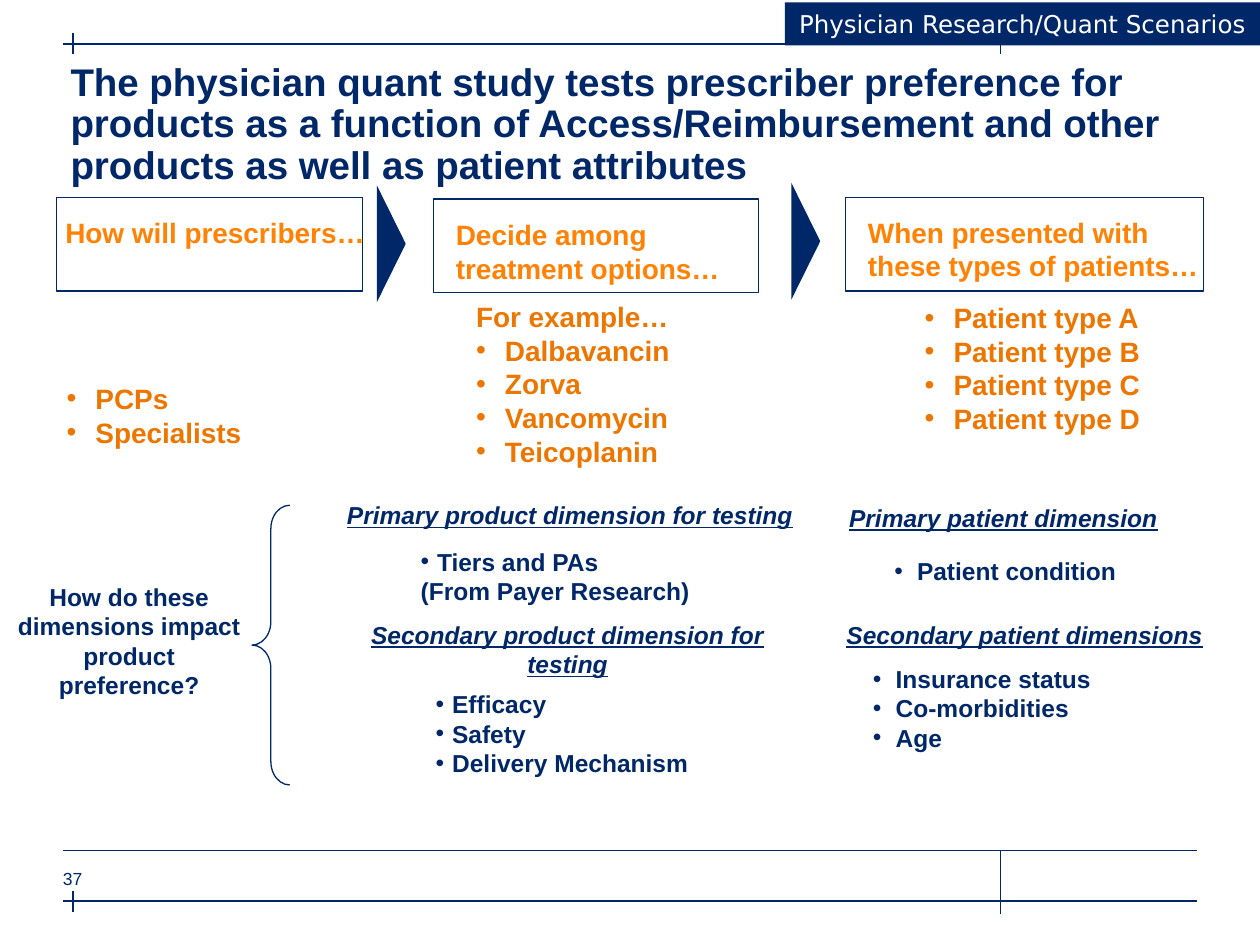
from dataclasses import dataclass

from lxml import etree
from pptx import Presentation
from pptx.dml.color import RGBColor
from pptx.enum.shapes import MSO_CONNECTOR, MSO_SHAPE
from pptx.enum.text import MSO_ANCHOR, PP_ALIGN
from pptx.oxml.ns import qn
from pptx.util import Inches, Pt

STRAIGHT = MSO_CONNECTOR.STRAIGHT
RECTANGLE = MSO_SHAPE.RECTANGLE
TRIANGLE = MSO_SHAPE.ISOSCELES_TRIANGLE
LEFT_BRACE = MSO_SHAPE.LEFT_BRACE
TOP, MIDDLE = MSO_ANCHOR.TOP, MSO_ANCHOR.MIDDLE
LEFT, CENTER = PP_ALIGN.LEFT, PP_ALIGN.CENTER

COLUMNS, ROWS = 100, 75


@dataclass(frozen=True)
class Theme:
    navy: str = "002868"
    heading: str = "FF8205"
    example: str = "EC7600"
    white: str = "FFFFFF"
    font: str = "Arial"
    tag_font: str = "DejaVu Sans"
    title_size: int = 22
    large: int = 16
    body: int = 14
    small: int = 10
    rule: float = 1
    thin: float = 0.75


THEME = Theme()


@dataclass(frozen=True)
class Area:
    left: float
    top: float
    width: float
    height: float


@dataclass(frozen=True)
class Style:
    size: int = THEME.body
    color: str = THEME.navy
    font: str = THEME.font
    bold: bool = True
    emphasis: bool = False
    align: PP_ALIGN = LEFT
    anchor: MSO_ANCHOR = TOP
    inset: tuple[float, float] = (0.1, 0.05)
    hang: float = 0
    spacing: float = 1
    wrap: bool = True


@dataclass(frozen=True)
class Block:
    area: Area
    lines: tuple[str, ...]
    style: Style


deck = Presentation()
deck.slide_width, deck.slide_height = Inches(10), Inches(7.5)
page = deck.slides.add_slide(deck.slide_layouts[6])


def across(columns: float) -> int:
    return round(deck.slide_width * columns / COLUMNS)


def down(rows: float) -> int:
    return round(deck.slide_height * rows / ROWS)


def place(area: Area) -> tuple[int, int, int, int]:
    return across(area.left), down(area.top), across(area.width), down(area.height)


def add_line(start: tuple[float, float], end: tuple[float, float], weight: float) -> None:
    line = page.shapes.add_connector(
        STRAIGHT, across(start[0]), down(start[1]), across(end[0]), down(end[1]))
    line.line.color.rgb = RGBColor.from_string(THEME.navy)
    line.line.width = Pt(weight)
    etree.SubElement(line._element.spPr, qn("a:effectLst"))


def add_figure(kind: MSO_SHAPE, area: Area, filled: bool = False):
    figure = page.shapes.add_shape(kind, *place(area))
    figure.shadow.inherit = False
    navy = RGBColor.from_string(THEME.navy)
    if filled:
        figure.fill.solid()
        figure.fill.fore_color.rgb = navy
        figure.line.fill.background()
    else:
        figure.fill.background()
        figure.line.color.rgb = navy
        figure.line.width = Pt(THEME.thin)
    return figure


def add_bullet(para, style: Style) -> None:
    properties = para._p.get_or_add_pPr()
    properties.set("marL", str(Inches(style.hang)))
    properties.set("indent", str(-Inches(style.hang)))
    color = etree.SubElement(properties, qn("a:buClr"))
    etree.SubElement(color, qn("a:srgbClr"), val=style.color)
    etree.SubElement(properties, qn("a:buFont"), typeface=THEME.font)
    etree.SubElement(properties, qn("a:buChar"), char="•")


def write(box, lines: tuple[str, ...], style: Style) -> None:
    frame = box.text_frame
    frame.word_wrap = style.wrap
    frame.vertical_anchor = style.anchor
    frame.margin_left = frame.margin_right = Inches(style.inset[0])
    frame.margin_top = frame.margin_bottom = Inches(style.inset[1])
    for index, line in enumerate(lines):
        para = frame.paragraphs[0] if index == 0 else frame.add_paragraph()
        para.text = line.removeprefix("• ")
        para.alignment = style.align
        para.line_spacing = style.spacing
        if line.startswith("• "):
            add_bullet(para, style)
        font = para.font
        font.name, font.size, font.bold = style.font, Pt(style.size), style.bold
        font.italic = font.underline = style.emphasis
        font.color.rgb = RGBColor.from_string(style.color)


def add_block(block: Block) -> None:
    write(page.shapes.add_textbox(*place(block.area)), block.lines, block.style)


TITLE = Style(size=THEME.title_size, inset=(0, 0), spacing=0.9)
HEADING = Style(size=THEME.large, color=THEME.heading)
EXAMPLE = Style(size=THEME.large, color=THEME.example, anchor=MIDDLE, inset=(0.1, 0.1), hang=0.23)
QUESTION = Style(align=CENTER, anchor=MIDDLE, inset=(0.1, 0.1))
PRODUCT_HEAD = Style(emphasis=True, align=CENTER)
PATIENT_HEAD = Style(emphasis=True, wrap=False)
PRODUCT = Style(hang=0.13)
PATIENT = Style(hang=0.18)
CONDITION = Style(hang=0.18, anchor=MIDDLE, inset=(0.1, 0.1))
TAG = Style(color=THEME.white, font=THEME.tag_font, bold=False, align=CENTER, anchor=MIDDLE)
NUMBER = Style(size=THEME.small, bold=False, inset=(0, 0))

BLOCKS = (
    Block(Area(5.6, 5, 91.9, 11.5), (
        "The physician quant study tests prescriber preference for products as a function of "
        "Access/Reimbursement and other products as well as patient attributes",), TITLE),
    Block(Area(4.2, 16.6, 26.3, 3.7), ("How will prescribers…",), HEADING),
    Block(Area(35.2, 16.8, 26.3, 6.4), ("Decide among treatment options…",), HEADING),
    Block(Area(67.9, 16.6, 29.1, 6.4), ("When presented with these types of patients…",), HEADING),
    Block(Area(4.3, 24.2, 35.6, 17.5), ("• PCPs", "• Specialists"), EXAMPLE),
    Block(Area(36.8, 24.2, 35.6, 12.5), (
        "For example…", "• Dalbavancin", "• Zorva", "• Vancomycin", "• Teicoplanin"), EXAMPLE),
    Block(Area(72.4, 24.2, 21.8, 10),
          tuple(f"• Patient type {letter}" for letter in "ABCD"), EXAMPLE),
    Block(Area(0, 44.6, 20.5, 12.5),
          ("How do these dimensions impact product preference?",), QUESTION),
    Block(Area(26, 39.2, 38.5, 3.4), ("Primary product dimension for testing",), PRODUCT_HEAD),
    Block(Area(32.4, 42.9, 25.9, 5.7), ("• Tiers and PAs", "(From Payer Research)"), PRODUCT),
    Block(Area(25.8, 48.7, 38.5, 5.7), ("Secondary product dimension for testing",), PRODUCT_HEAD),
    Block(Area(33.6, 54.2, 24.9, 12.7),
          ("• Efficacy", "• Safety", "• Delivery Mechanism"), PRODUCT),
    Block(Area(66.4, 39.4, 26.5, 3.4), ("Primary patient dimension",), PATIENT_HEAD),
    Block(Area(70, 43.1, 27.3, 4.4), ("• Patient condition",), CONDITION),
    Block(Area(66.2, 48.7, 30.3, 3.4), ("Secondary patient dimensions",), PATIENT_HEAD),
    Block(Area(68.3, 52.2, 27.9, 10.4),
          ("• Insurance status", "• Co-morbidities", "• Age"), PATIENT),
    Block(Area(5, 68.9, 5, 3.3), ("37",), NUMBER),
)

for row in (3.5, 71.5, 67.5):
    add_line((5, row), (95, row), THEME.rule)
for column, first, last in ((5.8, 2.6, 4.3), (79.4, 2.6, 4.3), (5.8, 70.7, 72.4), (79.4, 67.5, 72.5)):
    add_line((column, first), (column, last), THEME.thin)

for frame_area in (Area(4.5, 15.7, 24.3, 7.4), Area(34.4, 15.8, 25.8, 7.4), Area(67.1, 15.7, 28.4, 7.4)):
    add_figure(RECTANGLE, frame_area)
for arrow_area in (Area(26.4, 18.2, 9.3, 2.3), Area(59.3, 18, 9.3, 2.3)):
    add_figure(TRIANGLE, arrow_area, filled=True).rotation = 90

brace = add_figure(LEFT_BRACE, Area(20, 40.1, 3, 22.2))
brace.adjustments[0] = 0.62

for block in BLOCKS:
    add_block(block)

tag = add_figure(RECTANGLE, Area(62.3, 0.2, 37.7, 3.4), filled=True)
write(tag, ("Physician Research/Quant Scenarios",), TAG)

deck.save("out.pptx")
